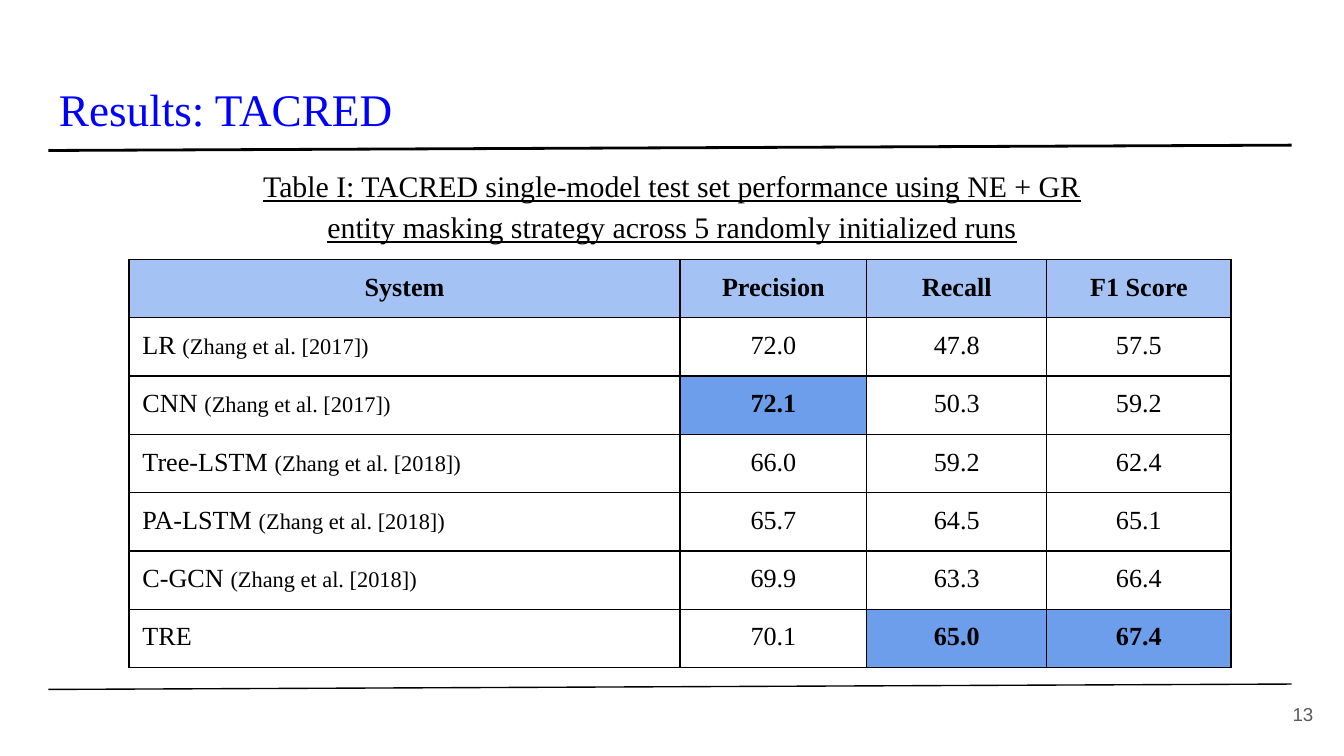
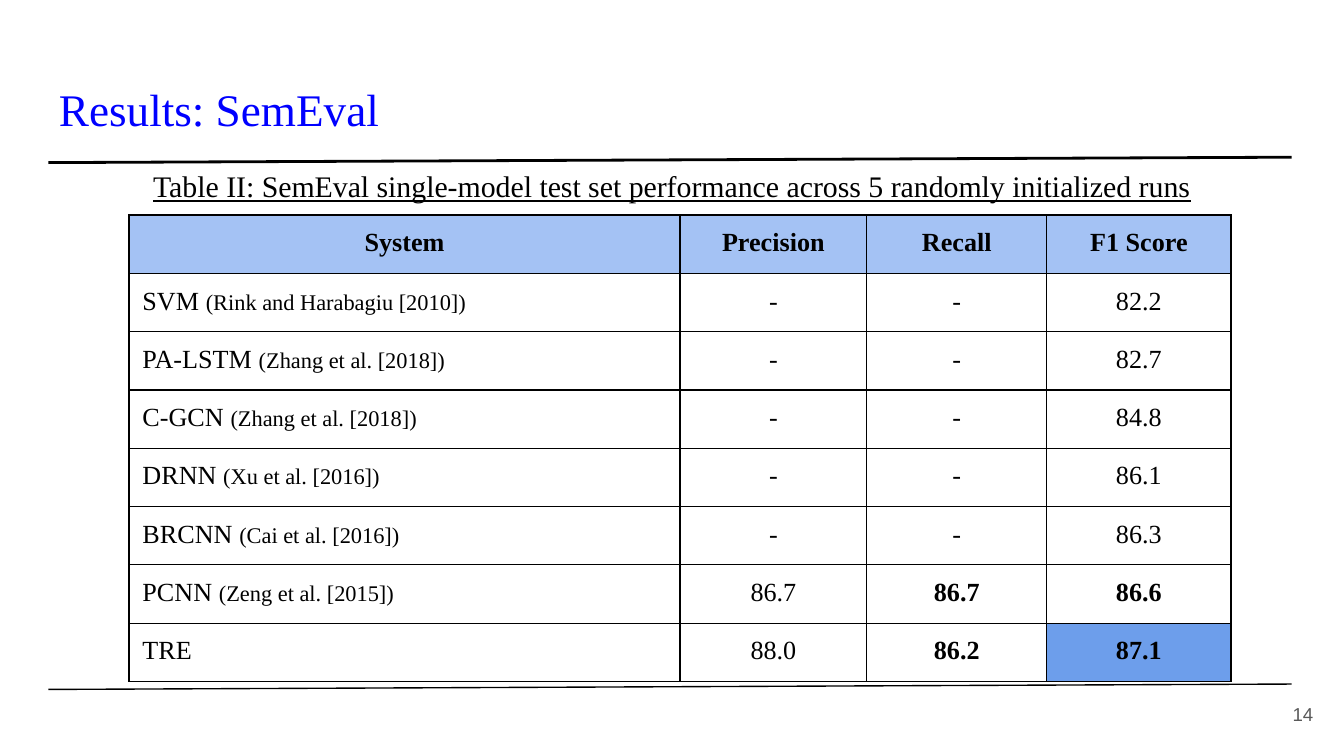
from dataclasses import dataclass

from lxml import etree
from pptx import Presentation
from pptx import util as u
from pptx.dml.color import RGBColor
from pptx.enum import text
from pptx.oxml import ns

SCALE = 4572
COLORS = {
    "title": "0000FF",
    "ink": "000000",
    "number": "595959",
    "header": "A4C2F4",
    "best": "6D9EEB",
}
SERIF = "Times New Roman"
SANS = "Arial"
INSET = 20
RULE_LEFT, RULE_RIGHT, RULE_RISE = 72, 1922, 8
FOOTER_TOP = 1026
TABLE_LEFT = 192
COLUMN_WIDTHS = (820, 278, 268, 274)
ROW_HEIGHT = 83
HEADERS = ("System", "Precision", "Recall", "F1 Score")


@dataclass(frozen=True)
class Style:
    size: float
    color: str = "ink"
    name: str = SERIF
    bold: bool = False
    underline: bool = False


@dataclass(frozen=True)
class Area:
    left: int
    top: int
    width: int
    height: int


@dataclass(frozen=True)
class Result:
    system: str
    citation: str
    scores: tuple[str, str, str]
    bold: tuple[int, ...] = ()
    best: tuple[int, ...] = ()


@dataclass(frozen=True)
class ResultPage:
    number: int
    title: str
    caption: str
    rule_top: int
    table_top: int
    results: tuple[Result, ...]


TITLE_AREA = Area(68, 98, 1864, 126)
CAPTION_AREA = Area(68, 222, 1864, 748)
NUMBER_AREA = Area(1854, 1020, 120, 86)
TITLE_STYLE = Style(24.2, "title")
CAPTION_STYLE = Style(16, underline=True)
NUMBER_STYLE = Style(10, "number", SANS)
CELL_STYLE = Style(14)
BOLD_STYLE = Style(14, bold=True)
CITATION_STYLE = Style(12)

PAGES = (
    ResultPage(
        13,
        "Results: TACRED",
        "Table I: TACRED single-model test set performance using NE + GR\v"
        "entity masking strategy across 5 randomly initialized runs",
        224,
        386,
        (
            Result("LR", "(Zhang et al. [2017])", ("72.0", "47.8", "57.5")),
            Result("CNN", "(Zhang et al. [2017])", ("72.1", "50.3", "59.2"), (1,), (1,)),
            Result("Tree-LSTM", "(Zhang et al. [2018])", ("66.0", "59.2", "62.4")),
            Result("PA-LSTM", "(Zhang et al. [2018])", ("65.7", "64.5", "65.1")),
            Result("C-GCN", "(Zhang et al. [2018])", ("69.9", "63.3", "66.4")),
            Result("TRE", "", ("70.1", "65.0", "67.4"), (2, 3), (2, 3)),
        ),
    ),
    ResultPage(
        14,
        "Results: SemEval",
        "Table II: SemEval single-model test set performance across 5 randomly initialized runs",
        242,
        320,
        (
            Result("SVM", "(Rink and Harabagiu [2010])", ("-", "-", "82.2")),
            Result("PA-LSTM", "(Zhang et al. [2018])", ("-", "-", "82.7")),
            Result("C-GCN", "(Zhang et al. [2018])", ("-", "-", "84.8")),
            Result("DRNN", "(Xu et al. [2016])", ("-", "-", "86.1")),
            Result("BRCNN", "(Cai et al. [2016])", ("-", "-", "86.3")),
            Result("PCNN", "(Zeng et al. [2015])", ("86.7", "86.7", "86.6"), (2, 3)),
            Result("TRE", "", ("88.0", "86.2", "87.1"), (2, 3), (3,)),
        ),
    ),
)


def px(length: int) -> int:
    return u.Emu(length * SCALE)


def set_insets(holder) -> None:
    holder.margin_left = holder.margin_right = px(INSET)
    holder.margin_top = holder.margin_bottom = px(INSET)


def style_span(span, style: Style) -> None:
    span.font.name = style.name
    span.font.size = u.Pt(style.size)
    span.font.bold = style.bold
    span.font.underline = style.underline
    span.font.color.rgb = RGBColor.from_string(COLORS[style.color])


def add_text(page, area: Area, words: str, style: Style, align, anchor):
    box = page.shapes.add_textbox(px(area.left), px(area.top), px(area.width), px(area.height))
    frame = box.text_frame
    frame.word_wrap = True
    frame.vertical_anchor = anchor
    set_insets(frame)
    frame.text = words
    para = frame.paragraphs[0]
    para.alignment = align
    for span in para.runs:
        style_span(span, style)
    return para


def add_rule(page, top: int, weight: float) -> None:
    rule = page.shapes.add_connector(
        1, px(RULE_LEFT), px(top), px(RULE_RIGHT), px(top - RULE_RISE)
    )
    rule.line.color.rgb = RGBColor.from_string(COLORS["ink"])
    rule.line.width = u.Pt(weight)
    etree.SubElement(rule._element.spPr, ns.qn("a:effectLst"))


def add_borders(cell) -> None:
    properties = cell._tc.get_or_add_tcPr()
    for index, side in enumerate(("lnL", "lnR", "lnT", "lnB")):
        border = etree.Element(ns.qn(f"a:{side}"), w=str(u.Pt(0.75)))
        fill = etree.SubElement(border, ns.qn("a:solidFill"))
        etree.SubElement(fill, ns.qn("a:srgbClr"), val=COLORS["ink"])
        properties.insert(index, border)


def fill_cell(cell, words: str, style: Style, align, color: str = "") -> None:
    set_insets(cell)
    cell.text_frame.text = words
    para = cell.text_frame.paragraphs[0]
    para.alignment = align
    style_span(para.runs[0], style)
    if color:
        cell.fill.solid()
        cell.fill.fore_color.rgb = RGBColor.from_string(COLORS[color])
    else:
        cell.fill.background()
    add_borders(cell)


def add_results(page, top: int, results: tuple[Result, ...]) -> None:
    count = len(results) + 1
    table = page.shapes.add_table(
        count, len(HEADERS), px(TABLE_LEFT), px(top),
        px(sum(COLUMN_WIDTHS)), px(count * ROW_HEIGHT),
    ).table
    table.first_row = False
    table.horz_banding = False
    for column, width in zip(table.columns, COLUMN_WIDTHS):
        column.width = px(width)
    for row in table.rows:
        row.height = px(ROW_HEIGHT)
    center, left = text.PP_ALIGN.CENTER, text.PP_ALIGN.LEFT
    for column, header in enumerate(HEADERS):
        fill_cell(table.cell(0, column), header, BOLD_STYLE, center, "header")
    for row, result in enumerate(results, 1):
        system = table.cell(row, 0)
        name = f"{result.system} " if result.citation else result.system
        fill_cell(system, name, CELL_STYLE, left)
        if result.citation:
            span = system.text_frame.paragraphs[0].add_run()
            span.text = result.citation
            style_span(span, CITATION_STYLE)
        for column, score in enumerate(result.scores, 1):
            style = BOLD_STYLE if column in result.bold else CELL_STYLE
            color = "best" if column in result.best else ""
            fill_cell(table.cell(row, column), score, style, center, color)


def add_page(deck, content: ResultPage) -> None:
    page = deck.slides.add_slide(deck.slide_layouts[6])
    align, anchor = text.PP_ALIGN, text.MSO_ANCHOR
    add_text(page, TITLE_AREA, content.title, TITLE_STYLE, align.LEFT, anchor.MIDDLE)
    caption = add_text(
        page, CAPTION_AREA, content.caption, CAPTION_STYLE, align.CENTER, anchor.TOP
    )
    caption.line_spacing = 1.15
    caption.space_after = u.Pt(12)
    add_rule(page, content.rule_top, 1.5)
    add_rule(page, FOOTER_TOP, 0.75)
    add_text(page, NUMBER_AREA, str(content.number), NUMBER_STYLE, align.RIGHT, anchor.MIDDLE)
    add_results(page, content.table_top, content.results)


def main() -> None:
    deck = Presentation()
    deck.slide_width, deck.slide_height = px(2000), px(1125)
    for content in PAGES:
        add_page(deck, content)
    deck.save("out.pptx")


if __name__ == "__main__":
    main()
